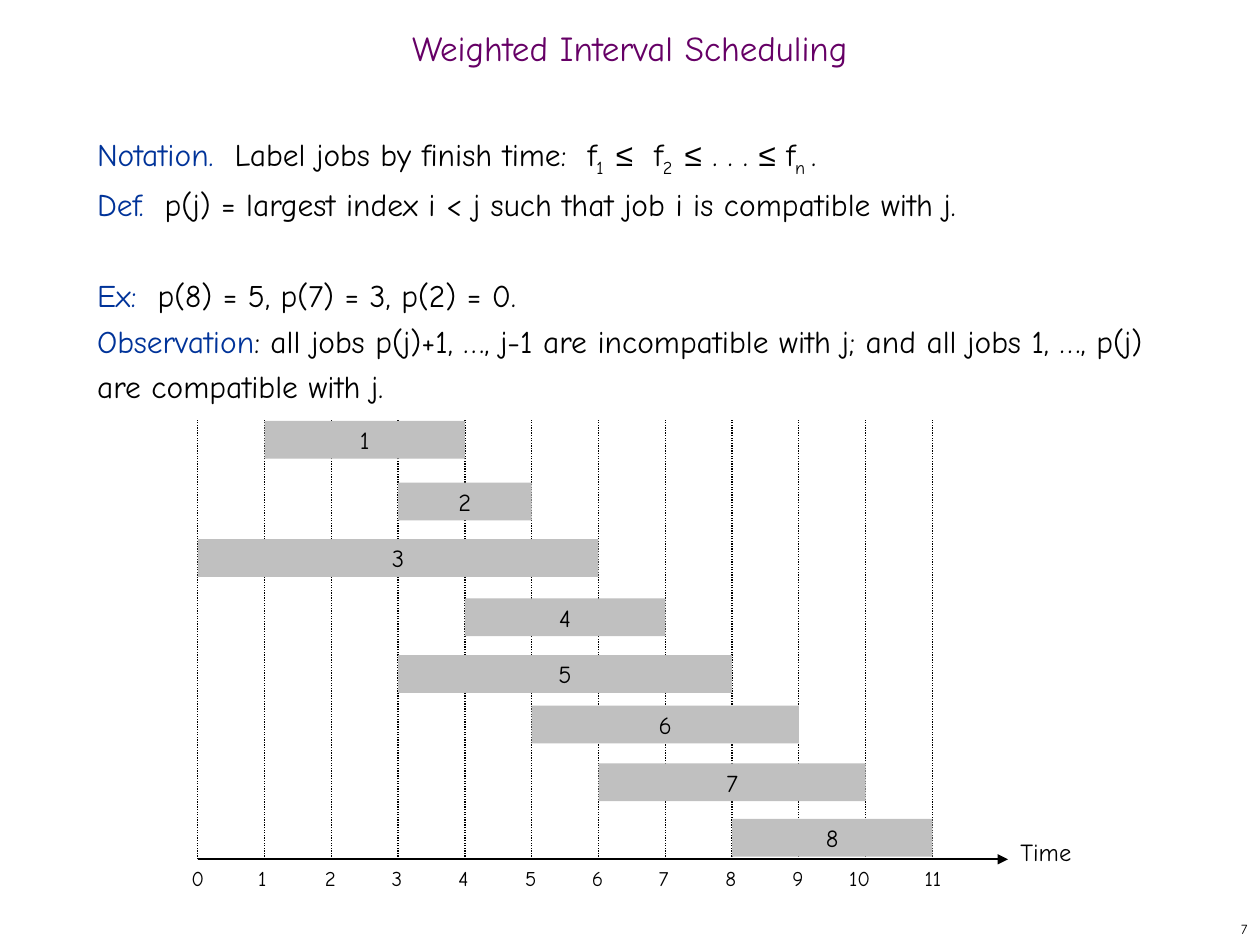
from lxml import etree
from pptx import Presentation
from pptx.dml.color import RGBColor
from pptx.enum.dml import MSO_LINE
from pptx.enum.shapes import MSO_CONNECTOR, MSO_SHAPE
from pptx.enum.text import MSO_ANCHOR, MSO_AUTO_SIZE, PP_ALIGN
from pptx.oxml.ns import qn
from pptx.util import Emu, Pt

PX = 9144
BLACK = RGBColor(0x00, 0x00, 0x00)
WHITE = RGBColor(0xFF, 0xFF, 0xFF)
PURPLE = RGBColor(0x66, 0x00, 0x66)
BLUE = RGBColor(0x00, 0x33, 0x99)
GREY = RGBColor(0xC0, 0xC0, 0xC0)
LEFT, CENTER, RIGHT = PP_ALIGN.LEFT, PP_ALIGN.CENTER, PP_ALIGN.RIGHT
TOP, MIDDLE = MSO_ANCHOR.TOP, MSO_ANCHOR.MIDDLE
FIXED = MSO_AUTO_SIZE.NONE
RECT, LINE = MSO_SHAPE.RECTANGLE, MSO_CONNECTOR.STRAIGHT
DOTS = MSO_LINE.ROUND_DOT
HAND, SANS = "Comic Neue", "Arial"

LEQ = ("≤", "leq")
NOTES = [
    [("Notation.  ", "term"), ("Label jobs by finish time:  f", "text"),
     ("1  ", "sub"), LEQ, ("  f", "text"), ("2  ", "sub"), LEQ,
     (" . . . ", "text"), LEQ, (" f", "text"), ("n ", "sub"), (".", "text")],
    [("Def.  ", "term"),
     ("p(j) = largest index i < j such that job i is compatible with j.", "text")],
    [("Ex:  ", "term"), ("p(8) = 5, p(7) = 3, p(2) = 0.", "text")],
    [("Observation", "term"),
     (": all jobs p(j)+1, …, j-1 are incompatible with j; and all jobs 1, …, p(j) "
      "are compatible with j.", "text")],
]
STYLES = {
    "term": {"name": HAND, "color": BLUE},
    "text": {"name": HAND, "color": BLACK},
    "sub": {"name": HAND, "color": BLACK},
    "leq": {"name": SANS, "color": BLACK},
}
JOBS = [(1, 4, 1), (3, 5, 50), (0, 6, 95), (4, 7, 142),
        (3, 8, 187), (5, 9, 227), (6, 10, 273), (8, 11, 317)]
STEP, TICKS = 53, 12
NUDGE = {10: -8, 11: -1}


def px(*nums):
    """Turn px lengths into EMU."""
    return [Emu(n * PX) for n in nums]


def place(shape, box):
    """Move a shape to its box."""
    for key, val in zip(("left", "top", "width", "height"), px(*box)):
        setattr(shape, key, val)


def style(font, size, name=HAND, color=BLACK):
    """Format a font."""
    for key, val in {"size": Pt(size), "name": name}.items():
        setattr(font, key, val)
    font.color.rgb = color


def write(shape, text, size, align=LEFT, anchor=TOP, wrap=True, color=BLACK):
    """Put one formatted line of text in a shape."""
    frame = shape.text_frame
    for key, val in {"text": text, "word_wrap": wrap, "auto_size": FIXED,
                     "vertical_anchor": anchor}.items():
        setattr(frame, key, val)
    para = frame.paragraphs[0]
    para.alignment = align
    style(para.runs[0].font, size, color=color)
    return para


def label(slide, box, text, size, **fmt):
    """Add a text box."""
    write(slide.shapes.add_textbox(*px(*box)), text, size, **fmt)


def rule(slide, ends, width):
    """Add a plain black line."""
    line = slide.shapes.add_connector(LINE, *px(*ends))
    line.line.color.rgb = BLACK
    line.line.width = Pt(width)
    etree.SubElement(line.line._get_or_add_ln().getparent(), qn("a:effectLst"))
    return line.line


def title(slide, box):
    """Fill the title placeholder."""
    shape = slide.shapes.title
    place(shape, box)
    para = write(shape, "Weighted Interval Scheduling", 20, CENTER, MIDDLE,
                 color=PURPLE)
    para.line_spacing = 0.7


def notes(slide, box):
    """Fill the body placeholder with the definitions."""
    body = slide.placeholders[1]
    place(body, box)
    frame = body.text_frame
    frame.auto_size = FIXED
    for i, parts in enumerate(NOTES):
        para = frame.add_paragraph() if i else frame.paragraphs[0]
        props = para._p.get_or_add_pPr()
        for key in ("marL", "indent"):
            props.set(key, "0")
        etree.SubElement(props, qn("a:buNone"))
        para.line_spacing = Pt(26)
        para.space_before = Pt(26 if i == 2 else 0)
        for text, kind in parts:
            run = para.add_run()
            run.text = text
            style(run.font, 18, **STYLES[kind])
            if kind == "sub":
                run._r.get_or_add_rPr().set("baseline", "-25000")


def chart(slide, box):
    """Draw the time axis, its grid and the job bars."""
    x, y, w, h = box
    base = y + h
    axis = rule(slide, (x, base, x + w, base), 1.25)
    etree.SubElement(axis._get_or_add_ln(), qn("a:tailEnd"), type="triangle")
    label(slide, (x + w, base - 23, 83, 33), "Time", 14)
    for i in range(TICKS):
        at = x + i * STEP
        rule(slide, (at, base, at, y), 0.75).dash_style = DOTS
        label(slide, (at - 15 + NUDGE.get(i, 0), base, 46, 30), str(i), 12)
    for num, (start, end, drop) in enumerate(JOBS, 1):
        spot = (x + start * STEP, y + drop, (end - start) * STEP, 30)
        bar = slide.shapes.add_shape(RECT, *px(*spot))
        bar.shadow.inherit = False
        bar.fill.solid()
        bar.fill.fore_color.rgb = GREY
        bar.line.fill.background()
        write(bar, str(num), 14, CENTER, MIDDLE, wrap=False)


def main():
    """Build the slide and save it."""
    deck = Presentation()
    deck.slide_width, deck.slide_height = px(1000, 750)
    slide = deck.slides.add_slide(deck.slide_layouts[1])
    slide.background.fill.solid()
    slide.background.fill.fore_color.rgb = WHITE
    title(slide, (0, 17, 1000, 50))
    notes(slide, (67, 100, 858, 592))
    chart(slide, (157, 333, 643, 349))
    label(slide, (792, 725, 208, 25), "7", 8, align=RIGHT, anchor=MIDDLE,
          wrap=False)
    deck.save("out.pptx")


if __name__ == "__main__":
    main()
